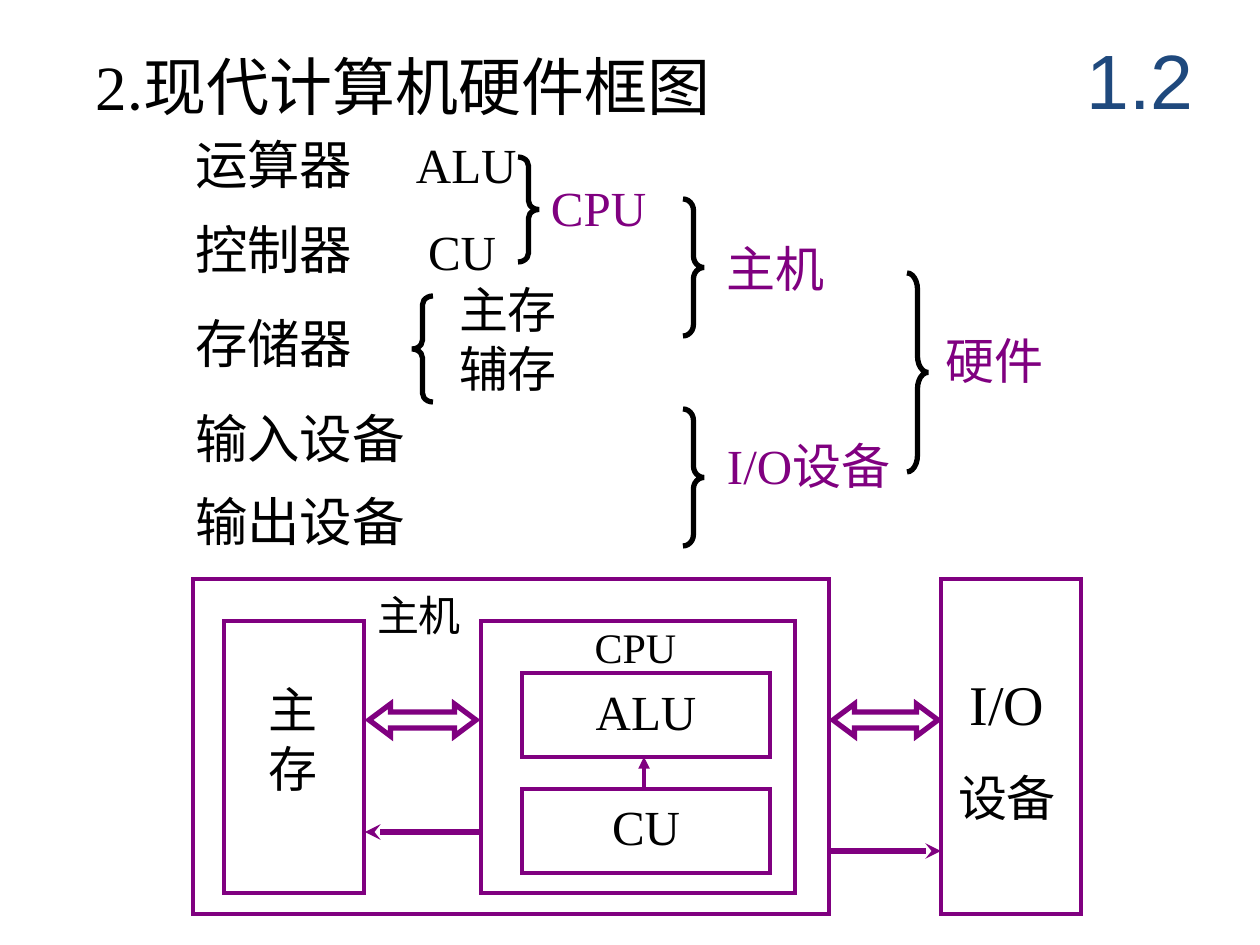
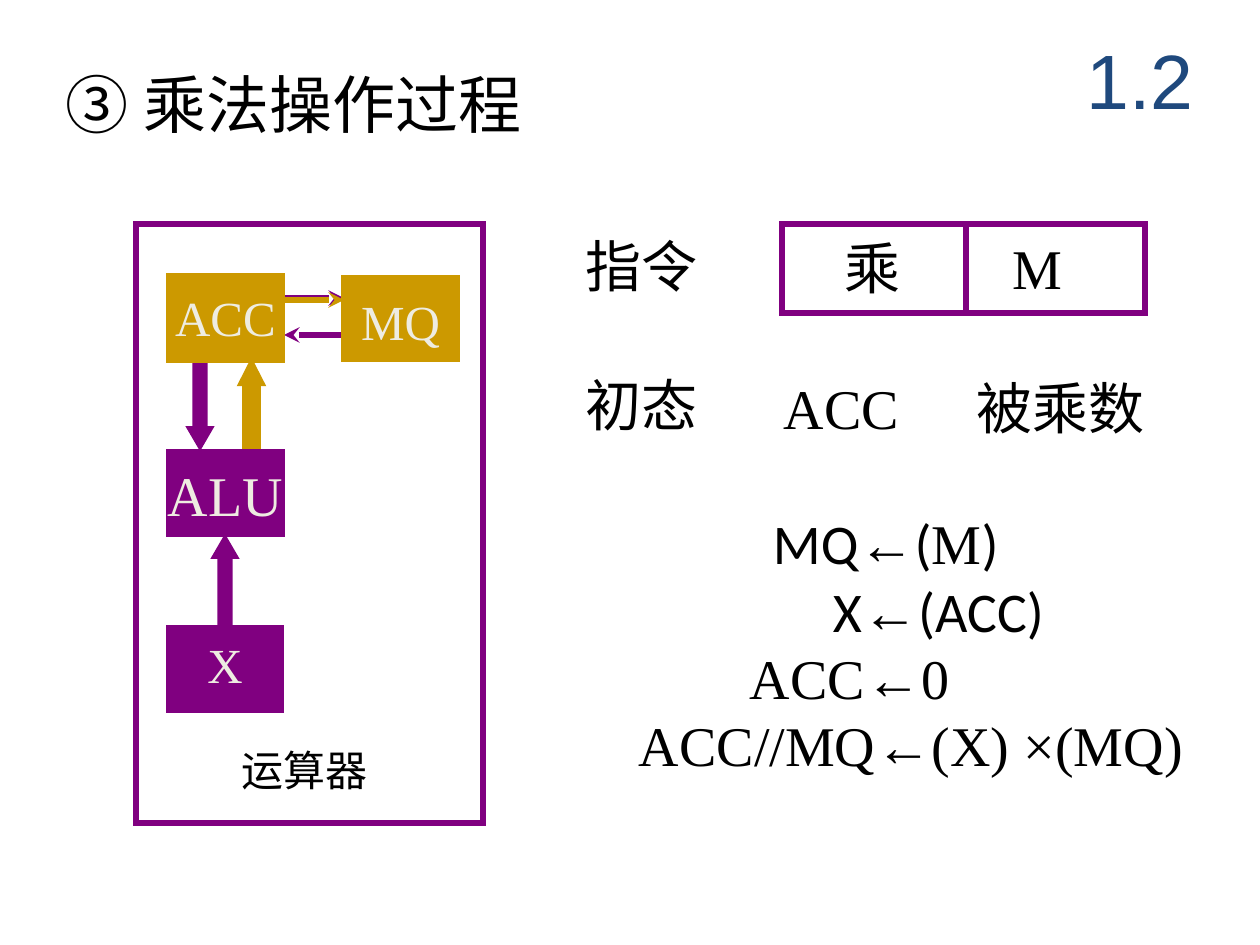
from lxml import etree
from pptx import Presentation
from pptx.dml.color import RGBColor
from pptx.enum.shapes import MSO_CONNECTOR, MSO_SHAPE as SHAPE
from pptx.enum.text import MSO_ANCHOR as ANCHOR, PP_ALIGN as ALIGN
from pptx.oxml.ns import qn
from pptx.util import Emu, Pt

BLACK = RGBColor(0x00, 0x00, 0x00)
PURPLE = RGBColor(0x80, 0x00, 0x80)
GOLD = RGBColor(0xCC, 0x99, 0x00)
CREAM = RGBColor(0xEE, 0xEC, 0xE1)
NAVY = RGBColor(0x1F, 0x49, 0x7D)
TIMES, CALIBRI, ARIAL = "Times New Roman", "Calibri", "Arial"
DPI = 126
THIN, THICK = 2.13, 3

# Slide 1: classification of the parts, then the block diagram
HARDWARE_TITLE = [("2", TIMES), (".现代计算机硬件框图", CALIBRI)]
UNITS = [("运算器", 132), ("控制器", 217), ("存储器", 311), ("输入设备", 406), ("输出设备", 489)]
UNITS_X = 195
GROUPS = [  # x, y, lines, font, colour
    (416, 135, ["ALU"], TIMES, BLACK),
    (428, 222, ["CU"], TIMES, BLACK),
    (459, 280, ["主存", "辅存"], CALIBRI, BLACK),
    (551, 178, ["CPU"], TIMES, PURPLE),
    (727, 239, ["主机"], CALIBRI, PURPLE),
    (727, 436, ["I/O设备"], TIMES, PURPLE),
    (946, 331, ["硬件"], CALIBRI, PURPLE),
]
BRACE_W = 21
BRACES = [  # preset, x, y, height
    (SHAPE.LEFT_BRACE, 412, 296, 106),
    (SHAPE.RIGHT_BRACE, 518, 157, 105),
    (SHAPE.RIGHT_BRACE, 683, 199, 137),
    (SHAPE.RIGHT_BRACE, 683, 409, 137),
    (SHAPE.RIGHT_BRACE, 907, 273, 199),
]
FRAMES = [  # host, main memory, CPU, I/O
    (193, 579, 636, 335), (224, 621, 140, 272), (481, 621, 314, 272), (941, 579, 140, 335),
]
CPU_UNITS = [("ALU", 673), ("CU", 789)]
BUSES = [(369, 107), (833, 105)]
CONTROL_LINES = [  # start, end, head, weight
    ((644, 789), (644, 757), "triangle", 2.25),
    ((829, 851), (941, 851), "stealth", THICK),
    ((480, 832), (365, 832), "stealth", THICK),
]

# Slide 2: the multiplication steps
MULTIPLY_TITLE = [("③ 乘法操作过程", CALIBRI)]
REGISTERS = [  # label, size, x, y, w, h, text top, colour
    ("ALU", 32, 169, 452, 113, 82, 8, PURPLE),
    ("X", 28, 169, 628, 112, 82, 6, PURPLE),
    ("ACC", 28, 169, 276, 113, 84, 11, GOLD),
    ("MQ", 28, 344, 278, 113, 81, 13, GOLD),
]
FAT_ARROWS = [  # x, y, w, h, rotation, shaft, head, colour
    (215, 539, 20, 87, 0, 0.5, 0.86, PURPLE),
    (190, 359, 20, 87, 180, 0.5, 0.86, PURPLE),
    (241, 363, 21, 84, 0, 0.64, 0.98, GOLD),
]
TRANSFERS = [  # start, end, colour
    ((344, 335), (284, 335), PURPLE),
    ((284, 298), (344, 298), PURPLE),
    ((284, 300), (344, 300), GOLD),
]
STATE_LABELS = [
    ("指令", CALIBRI, 586, 231), ("乘", CALIBRI, 845, 233), ("M", TIMES, 1013, 233),
    ("初态", CALIBRI, 586, 370), ("ACC", TIMES, 784, 374), ("被乘数", CALIBRI, 976, 374),
]
ARROW = ("←", ARIAL)
STEPS = [  # indent, runs
    (134, [("MQ", CALIBRI), ARROW, ("(", CALIBRI), ("M", TIMES), (")", CALIBRI)]),
    (194, [("X", CALIBRI), ARROW, ("(ACC)", CALIBRI)]),
    (111, [("ACC", TIMES), ARROW, ("0", TIMES)]),
    (0, [("ACC//MQ", TIMES), ARROW, ("(X) ×(MQ)", TIMES)]),
]


def px(n):
    return Emu(round(n * 914400 / DPI))


def add_runs(para, runs, size, color, align=ALIGN.LEFT):
    para.alignment = align
    for text, font in runs:
        run = para.add_run()
        run.text = text
        run.font.name, run.font.size = font, Pt(size)
        run.font.color.rgb = color


def clear_insets(frame, top=0):
    frame.margin_left = frame.margin_right = frame.margin_bottom = 0
    frame.margin_top = px(top)


def add_text(slide, x, y, lines, size, color=BLACK, width=None, align=ALIGN.LEFT):
    """Place lines (each a list of runs) with their top left corner at x, y."""
    longest = max(sum(len(text) for text, _ in runs) for runs in lines)
    em = size * DPI / 72
    box = slide.shapes.add_textbox(px(x), px(y), px(width or longest * em * 1.1),
                                   px(len(lines) * em * 1.2))
    frame = box.text_frame
    clear_insets(frame)
    frame.word_wrap = True
    for i, runs in enumerate(lines):
        para = frame.paragraphs[0] if i == 0 else frame.add_paragraph()
        add_runs(para, runs, size, color, align)
    return frame


def add_preset(slide, preset, x, y, w, h, weight, line=PURPLE, fill=None, adjust=()):
    shape = slide.shapes.add_shape(preset, px(x), px(y), px(w), px(h))
    shape.shadow.inherit = False
    if fill is None:
        shape.fill.background()
    else:
        shape.fill.solid()
        shape.fill.fore_color.rgb = fill
    shape.line.color.rgb = line
    shape.line.width = Pt(weight)
    etree.SubElement(shape.line._get_or_add_ln(), qn("a:miter"), lim="800000")
    for i, value in enumerate(adjust):
        shape.adjustments[i] = value
    return shape


def add_label(shape, text, size, top, color):
    frame = shape.text_frame
    clear_insets(frame, top)
    frame.vertical_anchor = ANCHOR.TOP
    frame.word_wrap = False
    add_runs(frame.paragraphs[0], [(text, TIMES)], size, color, ALIGN.CENTER)


def add_line(slide, start, end, weight=THICK, color=PURPLE, head=None):
    line = slide.shapes.add_connector(MSO_CONNECTOR.STRAIGHT, *map(px, start + end))
    line.line.color.rgb = color
    line.line.width = Pt(weight)
    if head:
        etree.SubElement(line.line._get_or_add_ln(), qn("a:tailEnd"), type=head)
    etree.SubElement(line._element.spPr, qn("a:effectLst"))


def new_slide(prs, title, x, y):
    """Add a slide with its title and the section number."""
    slide = prs.slides.add_slide(prs.slide_layouts[6])
    add_text(slide, x, y, [title], 36)
    section = slide.shapes.add_textbox(px(1061), px(21), px(158), px(116)).text_frame
    section.vertical_anchor = ANCHOR.MIDDLE
    section.word_wrap = True
    add_runs(section.paragraphs[0], [("1.2", ARIAL)], 44, NAVY, ALIGN.CENTER)
    return slide


def build_hardware(prs):
    slide = new_slide(prs, HARDWARE_TITLE, 96, 48)
    for unit, y in UNITS:
        add_text(slide, UNITS_X, y, [[(unit, CALIBRI)]], 30)
    for x, y, lines, font, color in GROUPS:
        add_text(slide, x, y, [[(line, font)] for line in lines], 28, color)
    for preset, x, y, h in BRACES:
        add_preset(slide, preset, x, y, BRACE_W, h, THICK, BLACK,
                   adjust=(h / 12 / BRACE_W, 0.5))

    for frame in FRAMES:
        add_preset(slide, SHAPE.RECTANGLE, *frame, THIN)
    for unit, y in CPU_UNITS:
        box = add_preset(slide, SHAPE.RECTANGLE, 522, y, 248, 84, THIN)
        add_label(box, unit, 28, 8, BLACK)
    for x, w in BUSES:
        add_preset(slide, SHAPE.LEFT_RIGHT_ARROW, x, 704, w, 32, THICK, adjust=(0.5, 0.67))
    for start, end, head, weight in CONTROL_LINES:
        add_line(slide, start, end, weight, head=head)

    add_text(slide, 377, 590, [[("主机", CALIBRI)]], 24)
    add_text(slide, 592, 622, [[("CPU", TIMES)]], 24, width=87, align=ALIGN.CENTER)
    add_text(slide, 256, 680, [[("主", CALIBRI)], [("存", CALIBRI)]], 28,
             width=74, align=ALIGN.CENTER)
    devices = add_text(slide, 939, 670, [[("I/O", TIMES)]], 32, width=136, align=ALIGN.CENTER)
    second = devices.add_paragraph()
    second.space_before = Pt(17.5)
    add_runs(second, [("设备", TIMES)], 28, BLACK, ALIGN.CENTER)


def build_multiply(prs):
    slide = new_slide(prs, MULTIPLY_TITLE, 66, 66)
    add_preset(slide, SHAPE.RECTANGLE, 136, 224, 347, 599, THICK)
    add_text(slide, 242, 745, [[("运算器", CALIBRI)]], 24)
    for start, end, color in TRANSFERS:
        add_line(slide, start, end, color=color, head="stealth")
    for x, y, w, h, rotation, shaft, head, color in FAT_ARROWS:
        arrow = add_preset(slide, SHAPE.UP_ARROW, x, y, w, h, THICK, color, color, (shaft, head))
        arrow.rotation = rotation
    for name, size, x, y, w, h, top, color in REGISTERS:
        box = add_preset(slide, SHAPE.RECTANGLE, x, y, w, h, THICK, color, color)
        add_label(box, name, size, top, CREAM)

    add_preset(slide, SHAPE.RECTANGLE, 782, 224, 363, 89, THICK)
    add_line(slide, (966, 223), (966, 314))
    for text, font, x, y in STATE_LABELS:
        add_text(slide, x, y, [[(text, font)]], 32)
    steps = add_text(slide, 639, 509, [runs for _, runs in STEPS], 32, width=600)
    for para, (indent, _) in zip(steps.paragraphs, STEPS):
        para._p.get_or_add_pPr().set("marL", str(px(indent)))


def main():
    prs = Presentation()
    prs.slide_width, prs.slide_height = px(1260), px(945)
    build_hardware(prs)
    build_multiply(prs)
    prs.save("out.pptx")


if __name__ == "__main__":
    main()
